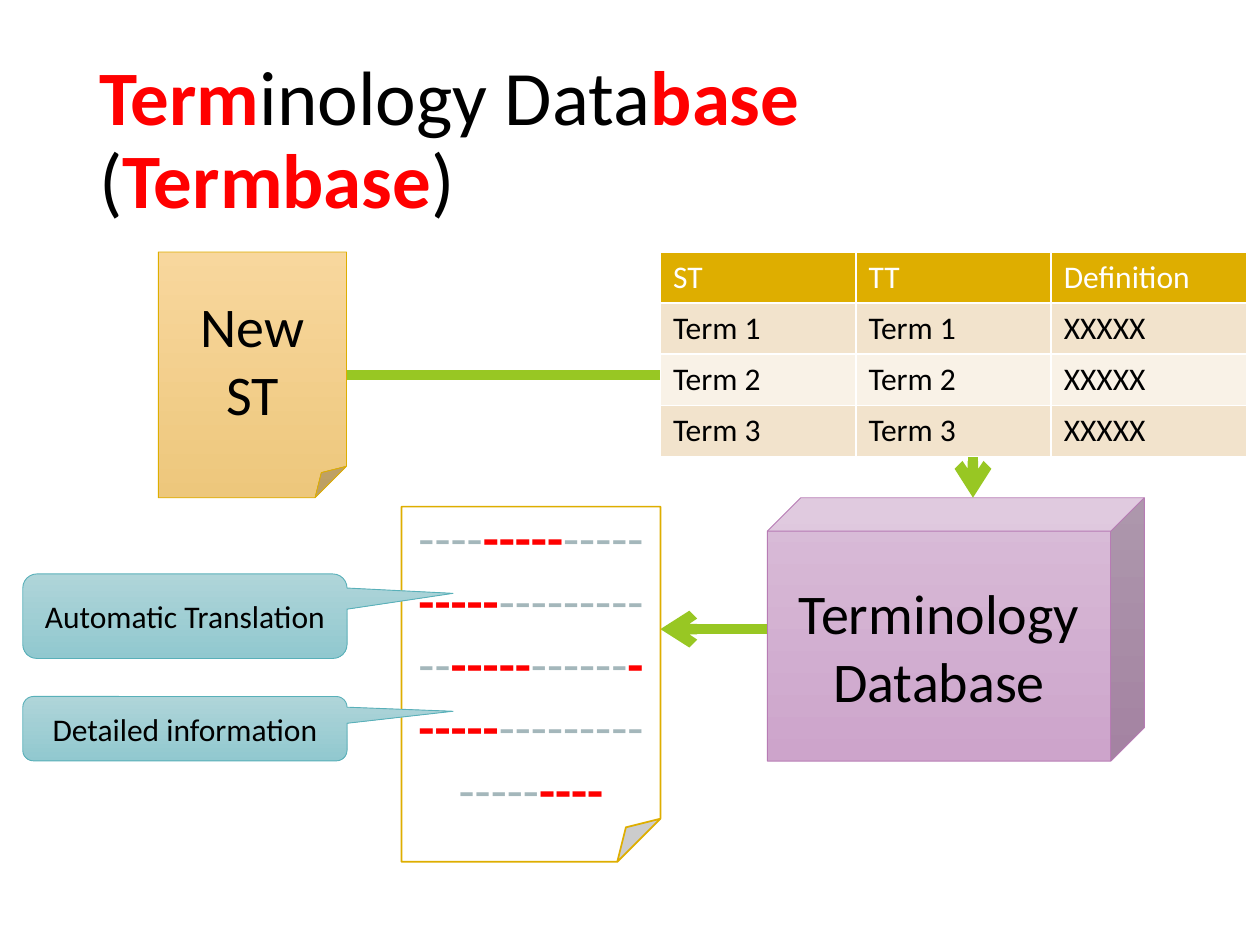
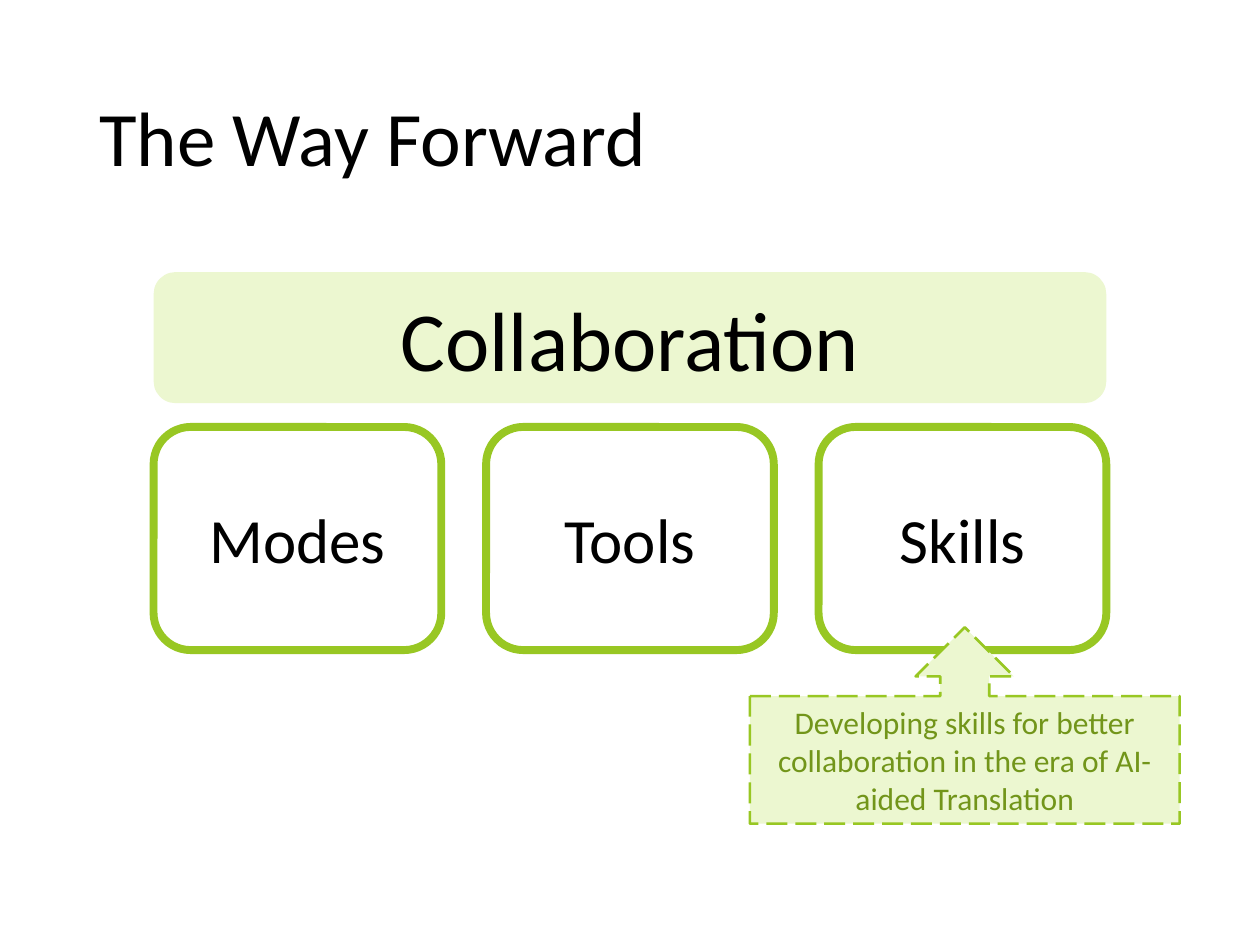
from lxml import etree
from pptx import Presentation
from pptx.dml.color import RGBColor
from pptx.enum.dml import MSO_LINE_DASH_STYLE as Dash
from pptx.enum.shapes import MSO_CONNECTOR as Connector, MSO_SHAPE as Shape
from pptx.enum.text import MSO_ANCHOR as Anchor, MSO_AUTO_SIZE as AutoSize, PP_ALIGN as Align
from pptx.oxml.ns import qn
from pptx.util import Pt

FONT = "Calibri"
BLACK, WHITE, RED, GREY = "000000", "FFFFFF", "FF0000", "A4B7BB"
GOLD, GREEN, PALE_GREEN, DARK_GREEN = "DEAE00", "98C723", "ECF7D0", "72951A"
PURPLE, TEAL = "B77BB4", "59B0B9"
GOLD_FADE = ("F8D79D", "EDC77C")
PURPLE_FADE = ("D9BDD8", "CDA4CB")
TEAL_FADE = ("AFD5D9", "91C8CF")
ROW_FILLS = ("F2E3CC", "F9F2E7")


def rgb(value):
    return RGBColor.from_string(value)


def points(*lengths):
    return [Pt(length) for length in lengths]


def style_font(font, size, color=BLACK):
    font.name, font.size, font.bold = FONT, Pt(size), False
    font.color.rgb = rgb(color)


def add_runs(paragraph, runs, plain_color):
    """Add (text, highlighted) runs; highlighted ones are bold red."""
    for text, highlighted in runs:
        run = paragraph.add_run()
        run.text = text
        run.font.bold = highlighted
        run.font.color.rgb = rgb(RED if highlighted else plain_color)


def set_fill(fill, color):
    """Fill with one colour, or fade from top to bottom between a pair."""
    if isinstance(color, str):
        fill.solid()
        fill.fore_color.rgb = rgb(color)
        return
    fill.gradient()
    fill.gradient_angle = 270
    for stop, stop_color in zip(fill.gradient_stops, color):
        stop.color.rgb = rgb(stop_color)


def add_title(slide, runs):
    title = slide.shapes.title
    title.left, title.top, title.width, title.height = points(49.5, 28.75, 621, 104.4)
    frame = title.text_frame
    frame.vertical_anchor = Anchor.MIDDLE
    frame.auto_size = AutoSize.NONE
    paragraph = frame.paragraphs[0]
    paragraph.alignment = Align.LEFT
    paragraph.line_spacing = 0.9
    style_font(paragraph.font, 44)
    add_runs(paragraph, runs, BLACK)


def add_box(slide, kind, box, fill, text="", size=18, color=BLACK,
            line=None, line_width=0.5, adjustments=()):
    shape = slide.shapes.add_shape(kind, *points(*box))
    shape.shadow.inherit = False
    for index, value in enumerate(adjustments):
        shape.adjustments[index] = value
    set_fill(shape.fill, fill)
    if line:
        shape.line.color.rgb = rgb(line)
        shape.line.width = Pt(line_width)
    else:
        shape.line.fill.background()
    frame = shape.text_frame
    frame.word_wrap = True
    frame.vertical_anchor = Anchor.MIDDLE
    paragraph = frame.paragraphs[0]
    paragraph.text = text
    paragraph.alignment = Align.CENTER
    style_font(paragraph.font, size, color)
    return shape


def add_arrow(slide, kind, start, end):
    arrow = slide.shapes.add_connector(kind, *points(*start, *end))
    arrow.line.color.rgb = rgb(GREEN)
    arrow.line.width = Pt(6)
    properties = arrow._element.spPr
    etree.SubElement(properties.find(qn("a:ln")), qn("a:tailEnd"), type="arrow")
    etree.SubElement(properties, qn("a:effectLst"))
    if kind == Connector.ELBOW:
        # One bend only: right, then down
        properties.find(qn("a:prstGeom")).set("prst", "bentConnector2")


def add_cell_borders(cell):
    properties = cell._tc.get_or_add_tcPr()
    for side in ("lnL", "lnR", "lnT", "lnB"):
        border = etree.SubElement(properties, qn(f"a:{side}"), w=str(Pt(1)))
        solid = etree.SubElement(border, qn("a:solidFill"))
        etree.SubElement(solid, qn("a:srgbClr"), val=WHITE)


def add_term_table(slide, rows):
    frame = slide.shapes.add_table(len(rows), len(rows[0]), *points(377.5, 144, 334.8, 116.8))
    for row_index, texts in enumerate(rows):
        header = row_index == 0
        for column_index, text in enumerate(texts):
            cell = frame.table.cell(row_index, column_index)
            add_cell_borders(cell)
            set_fill(cell.fill, GOLD if header else ROW_FILLS[(row_index - 1) % 2])
            paragraph = cell.text_frame.paragraphs[0]
            paragraph.text = text
            style_font(paragraph.font, 18, WHITE if header else BLACK)


def build_termbase(slide):
    add_title(slide, [("Term", True), ("inology Data", False), ("base", True),
                      (" (", False), ("Termbase", True), (")", False)])
    add_box(slide, Shape.CUBE, (438.5, 284.4, 215.5, 150.5), PURPLE_FADE,
            "Terminology Database", 32, line=PURPLE, adjustments=[0.127])
    add_box(slide, Shape.FOLDED_CORNER, (90.5, 144, 107.5, 140.4), GOLD_FADE,
            "New ST", 32, line=GOLD)
    add_arrow(slide, Connector.ELBOW, (198, 214.4), (556, 284.4))
    add_term_table(slide, [("ST", "TT", "Definition")]
                   + [(f"Term {number}", f"Term {number}", "XXXXX") for number in (1, 2, 3)])
    add_arrow(slide, Connector.STRAIGHT, (438.5, 359.5), (377.4, 359.5))

    target_text = add_box(slide, Shape.FOLDED_CORNER, (229.5, 289.5, 147.9, 203), WHITE,
                          size=30, line=GOLD, line_width=1)
    dash_counts = (4, 5, 5, 5, 11, 5, 6, 6, 14, 4)
    add_runs(target_text.text_frame.paragraphs[0],
             [("-" * count, index % 2 == 1) for index, count in enumerate(dash_counts)], GREY)

    for text, top, height in (("Automatic Translation", 328, 48.3),
                              ("Detailed information", 398, 36.8)):
        add_box(slide, Shape.ROUNDED_RECTANGULAR_CALLOUT, (13, top, 185.3, height), TEAL_FADE,
                text, line=TEAL, adjustments=[0.827, -0.27, 0.167])


def build_way_forward(slide):
    add_title(slide, [("The Way Forward", False)])
    left, width, card_width = 87.8, 544.4, 164.4
    add_box(slide, Shape.ROUNDED_RECTANGLE, (left, 155.5, width, 74.9), PALE_GREEN,
            "Collaboration", 48)
    pillars = ("Modes", "Tools", "Skills")
    pitch = (width - card_width) / (len(pillars) - 1)
    for index, pillar in enumerate(pillars):
        add_box(slide, Shape.ROUNDED_RECTANGLE, (left + index * pitch, 244, card_width, 127.5),
                WHITE, pillar, 36, line=GREEN, line_width=4.5)
    callout = add_box(slide, Shape.UP_ARROW_CALLOUT, (428.5, 358.5, 245.6, 112.2), PALE_GREEN,
                      "Developing skills for better collaboration in the era of "
                      "AI-aided Translation",
                      color=DARK_GREEN, line=GREEN, line_width=1.5)
    callout.line.dash_style = Dash.LONG_DASH


def main():
    presentation = Presentation()
    presentation.slide_width, presentation.slide_height = points(720, 540)
    title_only = presentation.slide_layouts[5]
    for build in (build_termbase, build_way_forward):
        build(presentation.slides.add_slide(title_only))
    presentation.save("out.pptx")


if __name__ == "__main__":
    main()
